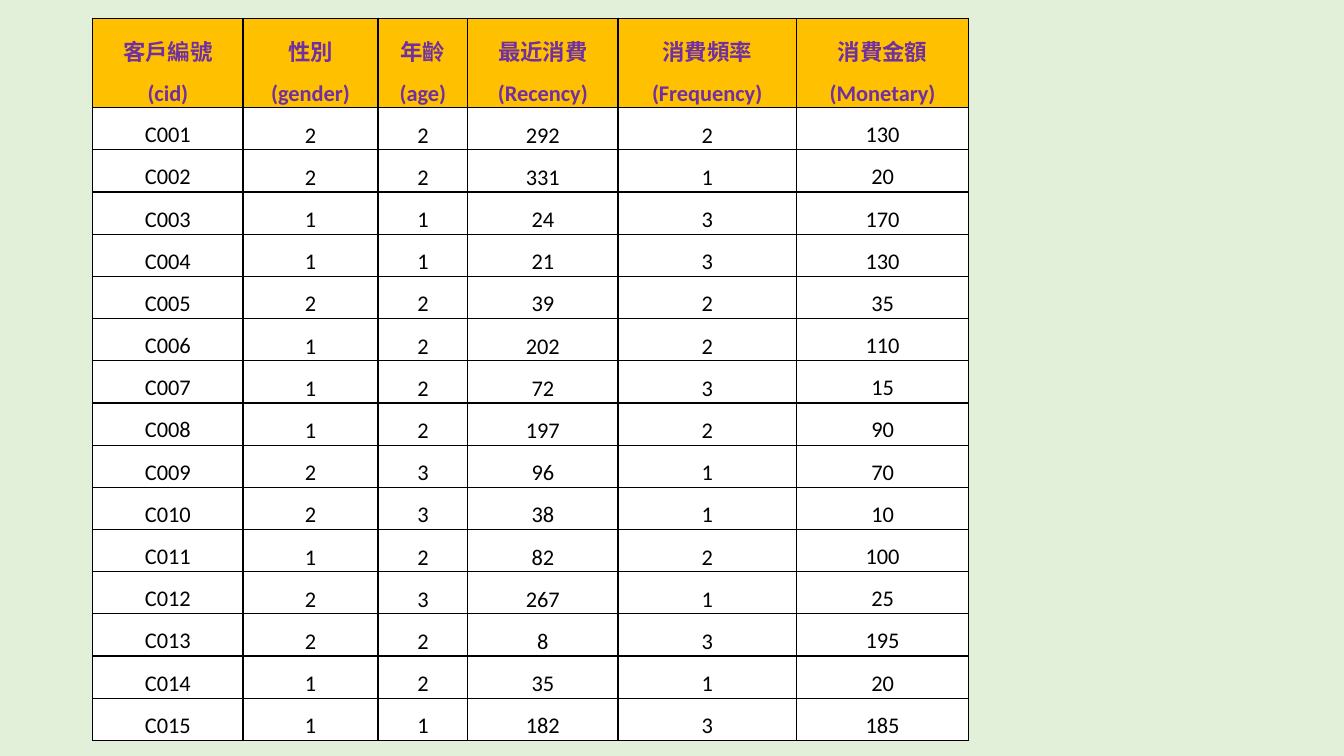
from lxml import etree
from pptx import Presentation
from pptx import util as u
from pptx.dml.color import RGBColor
from pptx.enum import text
from pptx.oxml import ns

COLORS = {
    "background": "E2F0D9",
    "header": "FFC000",
    "header_text": "7030A0",
    "body": "FFFFFF",
    "body_text": "000000",
    "border": "000000",
}
COLUMNS = [
    ("客戶編號", "(cid)", 1.49),
    ("性別", "(gender)", 1.34),
    ("年齡", "(age)", 0.89),
    ("最近消費", "(Recency)", 1.49),
    ("消費頻率", "(Frequency)", 1.77),
    ("消費金額", "(Monetary)", 1.71),
]
# gender, age, recency, frequency, monetary
CUSTOMERS = [
    (2, 2, 292, 2, 130),
    (2, 2, 331, 1, 20),
    (1, 1, 24, 3, 170),
    (1, 1, 21, 3, 130),
    (2, 2, 39, 2, 35),
    (1, 2, 202, 2, 110),
    (1, 2, 72, 3, 15),
    (1, 2, 197, 2, 90),
    (2, 3, 96, 1, 70),
    (2, 3, 38, 1, 10),
    (1, 2, 82, 2, 100),
    (2, 3, 267, 1, 25),
    (2, 2, 8, 3, 195),
    (1, 2, 35, 1, 20),
    (1, 1, 182, 3, 185),
]
LEFT, TOP, HEIGHT, HEADER_HEIGHT = 0.92, 0.18, 7.06, 0.78


def rgb(name):
    return RGBColor.from_string(COLORS[name])


class TableSlide:
    font, size, line_spacing = "Calibri", 16, 1.5

    def __init__(self, prs):
        self.s = prs.slides.add_slide(prs.slide_layouts[6])
        fill = self.s.background.fill
        fill.solid()
        fill.fore_color.rgb = rgb("background")

    def borders(self, cell):
        tcPr = cell._tc.get_or_add_tcPr()
        for side in ("lnL", "lnR", "lnT", "lnB"):
            ln = etree.SubElement(tcPr, ns.qn(f"a:{side}"), w=str(u.Pt(1)))
            solid = etree.SubElement(ln, ns.qn("a:solidFill"))
            etree.SubElement(solid, ns.qn("a:srgbClr"), val=COLORS["border"])

    def cell(self, cell, lines, kind, anchor):
        """Fill one cell, with a paragraph per line; kind is header or body."""
        self.borders(cell)
        cell.fill.solid()
        cell.fill.fore_color.rgb = rgb(kind)
        cell.margin_left = cell.margin_right = u.Inches(0.05)
        cell.margin_top = cell.margin_bottom = 0
        cell.vertical_anchor = anchor
        tf = cell.text_frame
        for i, line in enumerate(lines):
            p = tf.add_paragraph() if i else tf.paragraphs[0]
            p.alignment = text.PP_ALIGN.CENTER
            p.line_spacing = self.line_spacing
            r = p.add_run()
            r.text = line
            r.font.name = self.font
            r.font.size = u.Pt(self.size)
            r.font.bold = kind == "header"
            r.font.color.rgb = rgb(f"{kind}_text")

    def table(self, columns, customers):
        width = sum(w for *_, w in columns)
        table = self.s.shapes.add_table(
            len(customers) + 1, len(columns), u.Inches(LEFT), u.Inches(TOP),
            u.Inches(width), u.Inches(HEIGHT)).table
        table.horz_banding = False
        top, middle = text.MSO_ANCHOR.TOP, text.MSO_ANCHOR.MIDDLE

        table.rows[0].height = u.Inches(HEADER_HEIGHT)
        for c, (name, field, w) in enumerate(columns):
            table.columns[c].width = u.Inches(w)
            self.cell(table.cell(0, c), (name, field), "header", top)

        row_height = u.Inches((HEIGHT - HEADER_HEIGHT) / len(customers))
        last = len(columns) - 1
        for n, values in enumerate(customers, 1):
            table.rows[n].height = row_height
            for c, value in enumerate((f"C{n:03}", *values)):
                anchor = top if c in (0, last) else middle
                self.cell(table.cell(n, c), [str(value)], "body", anchor)


def main():
    prs = Presentation()
    prs.slide_width, prs.slide_height = u.Inches(13.33), u.Inches(7.5)
    TableSlide(prs).table(COLUMNS, CUSTOMERS)
    prs.save("out.pptx")


if __name__ == "__main__":
    main()
